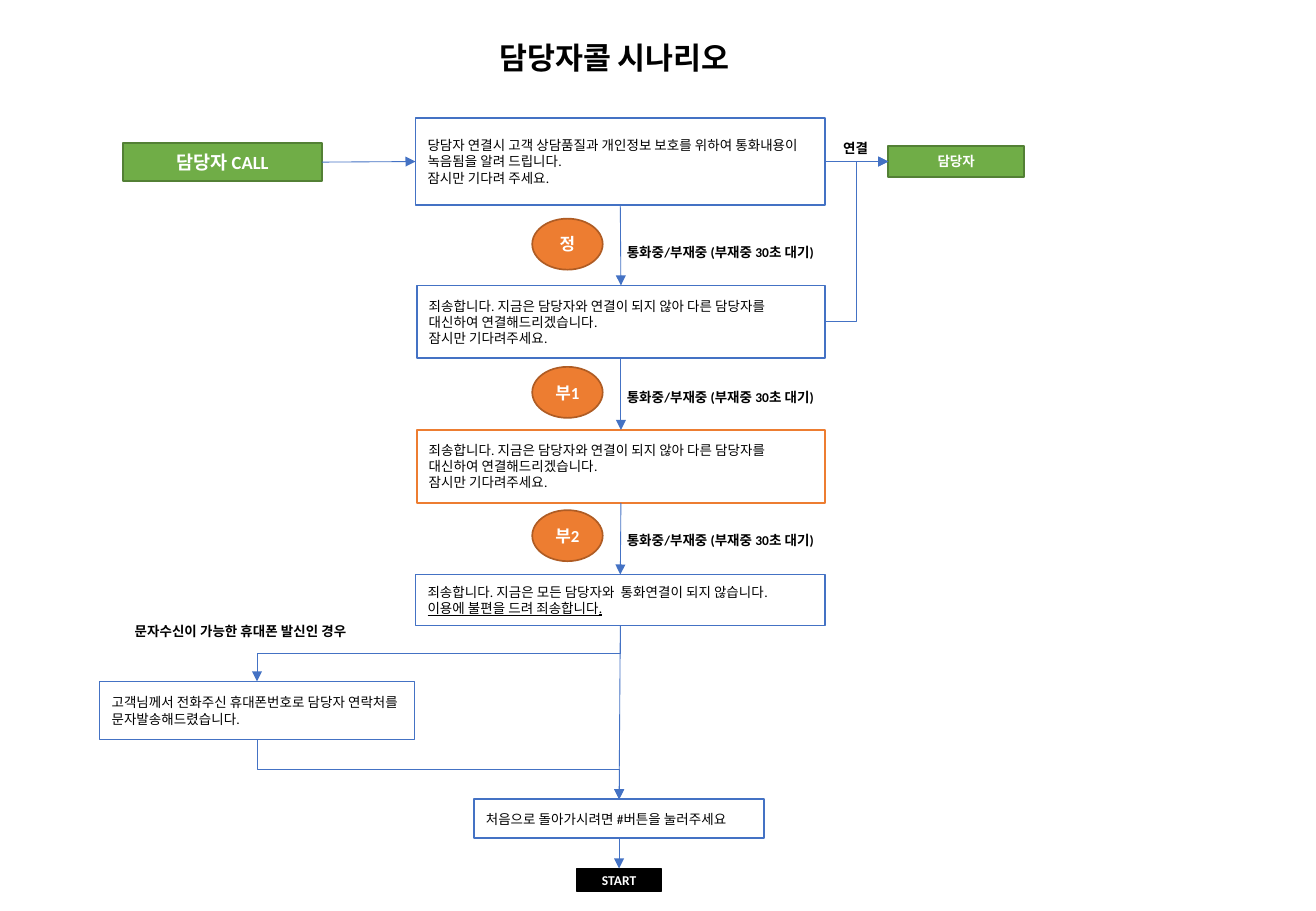
from dataclasses import dataclass

from lxml import etree
from pptx import Presentation
from pptx.dml.color import RGBColor
from pptx.enum.shapes import MSO_CONNECTOR, MSO_SHAPE
from pptx.enum.text import MSO_ANCHOR, MSO_AUTO_SIZE, PP_ALIGN
from pptx.oxml.ns import qn
from pptx.shapes.autoshape import Shape
from pptx.shapes.connector import Connector
from pptx.slide import Slide
from pptx.text.text import TextFrame
from pptx.util import Inches, Pt

RECTANGLE, OVAL = MSO_SHAPE.RECTANGLE, MSO_SHAPE.OVAL
STRAIGHT, ELBOW = MSO_CONNECTOR.STRAIGHT, MSO_CONNECTOR.ELBOW
LEFT, CENTER = PP_ALIGN.LEFT, PP_ALIGN.CENTER
MIDDLE = MSO_ANCHOR.MIDDLE
FIT_TEXT = MSO_AUTO_SIZE.SHAPE_TO_FIT_TEXT
TOP_SIDE, LEFT_SIDE, BOTTOM_SIDE, RIGHT_SIDE = range(4)

FONT = "Calibri"
COLORS = {
    "white": "FFFFFF", "black": "000000", "blue": "4472C4",
    "green": "70AD47", "dark_green": "538035",
    "orange": "ED7D31", "dark_orange": "AF5C24",
}

TRANSFER = "죄송합니다. 지금은 담당자와 연결이 되지 않아 다른 담당자를 대신하여 연결해드리겠습니다.\n잠시만 기다려주세요."
BUSY = "통화중/부재중 (부재중 30초 대기)"


@dataclass
class Node:
    name: str
    left: float
    top: float
    width: float
    height: float
    paragraphs: tuple[str, ...]
    fill: str = "white"
    line: str = "blue"
    size: int = 8
    emphasized: bool = False
    geometry: MSO_SHAPE = RECTANGLE
    underlined: str = ""


@dataclass
class Label:
    left: float
    top: float
    width: float
    height: float
    text: str
    size: int = 8
    wrap: bool = True


@dataclass
class Link:
    start: str
    start_side: int
    end: str
    end_side: int
    kind: MSO_CONNECTOR = STRAIGHT


NODES = [
    # Message boxes
    Node("greeting", 3.42, 0.97, 3.37, 0.72,
         ("당담자 연결시 고객 상담품질과 개인정보 보호를 위하여 통화내용이 녹음됨을 알려 드립니다.",
          "잠시만 기다려 주세요.")),
    Node("first_transfer", 3.43, 2.35, 3.36, 0.6, (TRANSFER,)),
    Node("second_transfer", 3.43, 3.54, 3.36, 0.6, (TRANSFER,), line="orange"),
    Node("unavailable", 3.42, 4.73, 3.37, 0.42,
         ("죄송합니다. 지금은 모든 담당자와  통화연결이 되지 않습니다.",),
         underlined="이용에 불편을 드려 죄송합니다."),
    Node("text_message", 0.82, 5.61, 2.59, 0.48,
         ("고객님께서 전화주신 휴대폰번호로 담당자 연락처를 문자발송해드렸습니다.",)),
    Node("return", 3.9, 6.58, 2.39, 0.32, ("처음으로 돌아가시려면 #버튼을 눌러주세요",)),
    # Call, agent and start boxes
    Node("call", 1.01, 1.18, 1.64, 0.31, ("담당자 CALL",), "green", "dark_green", 11, True),
    Node("agent", 7.31, 1.2, 1.12, 0.26, ("담당자",), "green", "dark_green", 8, True),
    Node("start", 4.75, 7.15, 0.69, 0.19, ("START",), "black", "black", 8, True),
] + [
    # Agent rank badges
    Node(text, 4.38, top, 0.58, 0.42, (text,), "orange", "dark_orange", 10, True, OVAL)
    for text, top in (("정", 1.8), ("부1", 3.02), ("부2", 4.2))
]

LABELS = [
    Label(4.01, 0.27, 2.28, 0.4, "담당자콜 시나리오", 18, False),
    Label(5.06, 1.96, 1.92, 0.24, BUSY),
    Label(5.06, 3.15, 2.09, 0.24, BUSY),
    Label(5.06, 4.33, 2.09, 0.24, BUSY),
    Label(6.84, 1.1, 0.48, 0.24, "연결"),
    Label(1.01, 5.08, 2.09, 0.24, "문자수신이 가능한 휴대폰 발신인 경우"),
]

DOWNWARD = ["greeting", "first_transfer", "second_transfer", "unavailable", "return", "start"]
LINKS = [
    Link(upper, BOTTOM_SIDE, lower, TOP_SIDE) for upper, lower in zip(DOWNWARD, DOWNWARD[1:])
] + [
    Link("call", RIGHT_SIDE, "greeting", LEFT_SIDE),
    Link("greeting", RIGHT_SIDE, "agent", LEFT_SIDE),
    Link("first_transfer", RIGHT_SIDE, "agent", LEFT_SIDE, ELBOW),
    Link("unavailable", BOTTOM_SIDE, "text_message", TOP_SIDE, ELBOW),
    Link("text_message", BOTTOM_SIDE, "return", TOP_SIDE, ELBOW),
]


def rgb(name: str) -> RGBColor:
    return RGBColor.from_string(COLORS[name])


def add_paragraph(frame: TextFrame, index: int, text: str, size: int, color: str,
                  bold: bool, alignment: PP_ALIGN, underline: bool = False) -> None:
    paragraph = frame.add_paragraph() if index else frame.paragraphs[0]
    paragraph.alignment = alignment
    for line_index, line in enumerate(text.split("\n")):
        if line_index:
            paragraph.add_line_break()
        run = paragraph.add_run()
        run.text = line
        run.font.name = FONT
        run.font.size = Pt(size)
        run.font.bold = bold
        run.font.underline = underline
        run.font.color.rgb = rgb(color)


def add_node(slide: Slide, node: Node) -> Shape:
    shape = slide.shapes.add_shape(node.geometry, Inches(node.left), Inches(node.top),
                                   Inches(node.width), Inches(node.height))
    shape.shadow.inherit = False
    shape.fill.solid()
    shape.fill.fore_color.rgb = rgb(node.fill)
    shape.line.color.rgb = rgb(node.line)
    shape.line.width = Pt(1)
    frame = shape.text_frame
    frame.word_wrap = True
    frame.vertical_anchor = MIDDLE
    color, alignment = ("white", CENTER) if node.emphasized else ("black", LEFT)
    for index, text in enumerate(node.paragraphs):
        add_paragraph(frame, index, text, node.size, color, node.emphasized, alignment)
    if node.underlined:
        add_paragraph(frame, len(node.paragraphs), node.underlined, node.size, color,
                      node.emphasized, alignment, True)
    return shape


def add_label(slide: Slide, label: Label) -> None:
    box = slide.shapes.add_textbox(Inches(label.left), Inches(label.top),
                                   Inches(label.width), Inches(label.height))
    box.text_frame.word_wrap = label.wrap
    box.text_frame.auto_size = FIT_TEXT
    add_paragraph(box.text_frame, 0, label.text, label.size, "black", True, LEFT)


def turn_vertical(connector: Connector) -> None:
    """Rotate an elbow so that it leaves and arrives vertically."""
    across = connector.end_x - connector.begin_x
    down = connector.end_y - connector.begin_y
    center_x = (connector.begin_x + connector.end_x) // 2
    center_y = (connector.begin_y + connector.end_y) // 2
    connector.width, connector.height = down, abs(across)
    connector.left = center_x - down // 2
    connector.top = center_y - abs(across) // 2
    transform = connector._element.spPr.find(qn("a:xfrm"))
    transform.set("rot", str((270 if across > 0 else 90) * 60000))
    transform.set("flipH", "1" if across > 0 else "0")


def add_link(slide: Slide, link: Link, shapes: dict[str, Shape]) -> None:
    connector = slide.shapes.add_connector(link.kind, 0, 0, 0, 0)
    connector.begin_connect(shapes[link.start], link.start_side)
    connector.end_connect(shapes[link.end], link.end_side)
    if link.kind == ELBOW and link.start_side == BOTTOM_SIDE:
        turn_vertical(connector)
    connector.line.color.rgb = rgb("blue")
    connector.line.width = Pt(0.5)
    properties = connector._element.spPr
    etree.SubElement(properties.find(qn("a:ln")), qn("a:tailEnd"), type="triangle")
    etree.SubElement(properties, qn("a:effectLst"))


def main() -> None:
    presentation = Presentation()
    presentation.slide_width = Inches(10.83)
    presentation.slide_height = Inches(7.5)
    slide = presentation.slides.add_slide(presentation.slide_layouts[6])
    shapes = {node.name: add_node(slide, node) for node in NODES}
    for link in LINKS:
        add_link(slide, link, shapes)
    for label in LABELS:
        add_label(slide, label)
    presentation.save("out.pptx")


if __name__ == "__main__":
    main()
